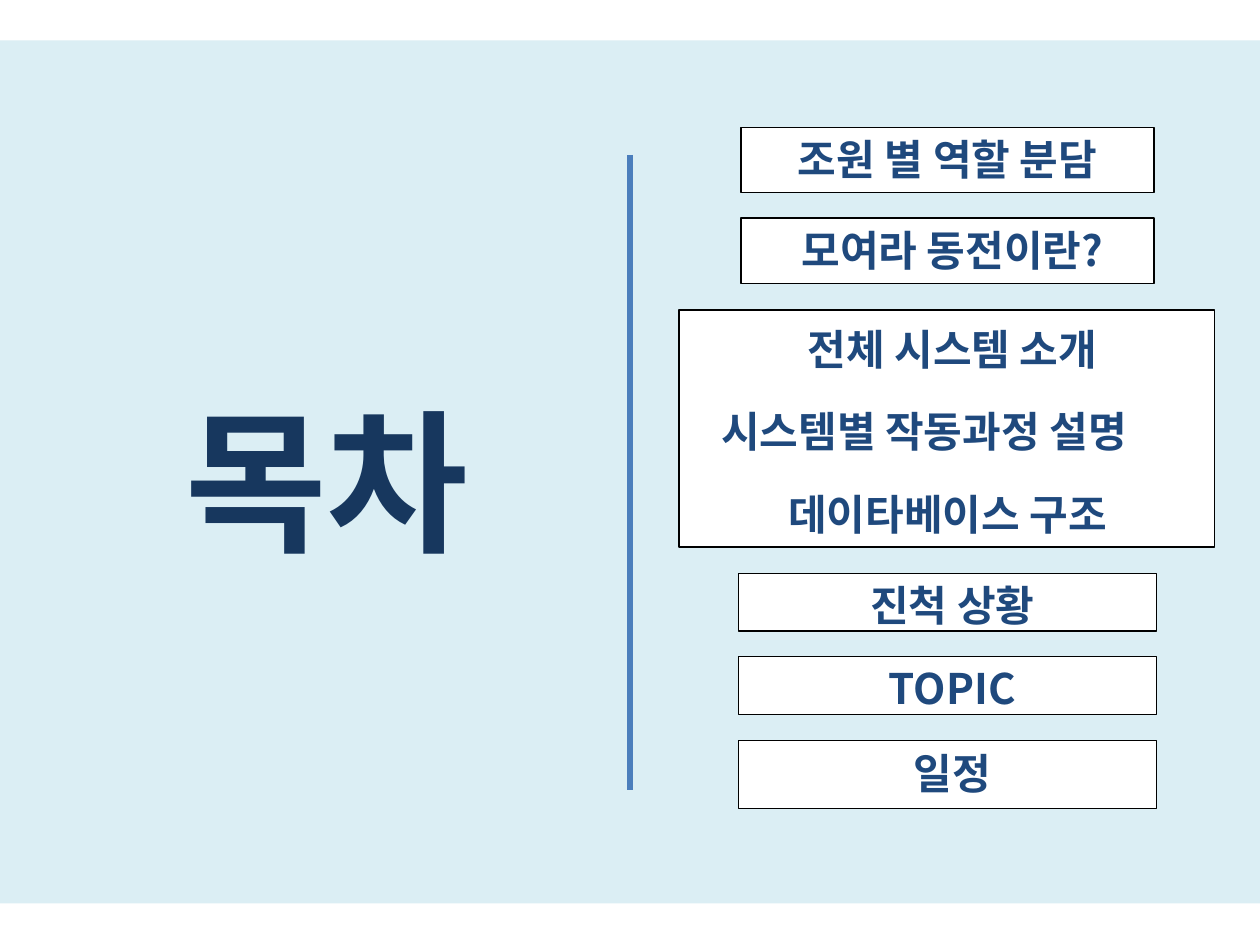
import dataclasses

import pptx
import pptx.dml.color
import pptx.enum.shapes
import pptx.enum.text
import pptx.oxml.ns
import pptx.util
from lxml import etree

Inches = pptx.util.Inches
Align = pptx.enum.text.PP_ALIGN


@dataclasses.dataclass(frozen=True)
class Theme:
    font: str = "Noto Sans CJK KR"
    title: int = 88
    item: int = 24
    band: str = "DBEEF4"
    paper: str = "FFFFFF"
    edge: str = "000000"
    rule: str = "4B7EBC"
    dark: str = "17375E"
    ink: str = "1F497D"


def color(code):
    return pptx.dml.color.RGBColor.from_string(code)


class Page:
    def __init__(self, slide, theme):
        self.slide = slide
        self.theme = theme

    def label(self, shape, text, size, ink, align=Align.CENTER, wrap=True):
        frame = shape.text_frame
        frame.word_wrap = wrap
        frame.vertical_anchor = pptx.enum.text.MSO_ANCHOR.TOP
        frame.text = text
        line = frame.paragraphs[0]
        line.alignment = align
        for run in line.runs:
            font = run.font
            font.size = pptx.util.Pt(size)
            font.bold = True
            font.name = self.theme.font
            font.color.rgb = color(ink)
            east = etree.SubElement(font._element, pptx.oxml.ns.qn("a:ea"))
            east.set("typeface", self.theme.font)

    def box(self, left, top, width, height, fill, edge=0):
        """Draw a filled rectangle; edge is the outline width in points."""
        shape = self.slide.shapes.add_shape(
            pptx.enum.shapes.MSO_SHAPE.RECTANGLE,
            Inches(left), Inches(top), Inches(width), Inches(height))
        shape.shadow.inherit = False
        shape.fill.solid()
        shape.fill.fore_color.rgb = color(fill)
        if edge:
            shape.line.color.rgb = color(self.theme.edge)
            shape.line.width = pptx.util.Pt(edge)
        else:
            shape.line.fill.background()
        return shape

    def item(self, text, mid, top, width, height, edge=0, **style):
        """Draw one entry of the contents, centred on mid."""
        shape = self.box(mid - width / 2, top, width, height,
                         self.theme.paper, edge)
        self.label(shape, text, self.theme.item, self.theme.ink, **style)

    def title(self, text, left, top, width, height):
        shape = self.slide.shapes.add_textbox(
            Inches(left), Inches(top), Inches(width), Inches(height))
        self.label(shape, text, self.theme.title, self.theme.dark)

    def rule(self, left, top, bottom):
        line = self.slide.shapes.add_connector(
            pptx.enum.shapes.MSO_CONNECTOR.STRAIGHT,
            Inches(left), Inches(top), Inches(left), Inches(bottom))
        line.line.color.rgb = color(self.theme.rule)
        line.line.width = pptx.util.Pt(3)
        etree.SubElement(line._element.spPr, pptx.oxml.ns.qn("a:effectLst"))


def main():
    deck = pptx.Presentation()
    deck.slide_width, deck.slide_height = Inches(10), Inches(7.5)
    theme = Theme()
    page = Page(deck.slides.add_slide(deck.slide_layouts[6]), theme)

    page.box(0, 0.32, 10, 6.85, theme.band)
    page.box(5.39, 2.46, 4.25, 1.88, theme.paper, 1)
    page.title("목차", 0.43, 3.02, 4.33, 1.04)
    page.rule(5, 1.23, 6.27)

    mid = 7.52
    framed = [
        (" 조원 별 역할 분담 ", 1.01, 3.28, 0.52),
        (" 모여라 동전이란?", 1.73, 3.28, 0.52),
        (" 진척 상황", 4.55, 3.32, 0.46),
        (" TOPIC", 5.21, 3.32, 0.46),
        (" 일정", 5.88, 3.32, 0.54),
    ]
    for text, top, width, height in framed:
        page.item(text, mid, top, width, height, 0.75)

    page.item(" 전체 시스템 소개", mid, 2.52, 3.44, 0.52)
    page.item("데이타베이스 구조", mid, 3.83, 4.17, 0.48)
    page.item("시스템별 작동과정 설명", mid, 3.17, 3.79, 0.5,
              align=Align.LEFT, wrap=False)

    deck.save("out.pptx")


if __name__ == "__main__":
    main()
